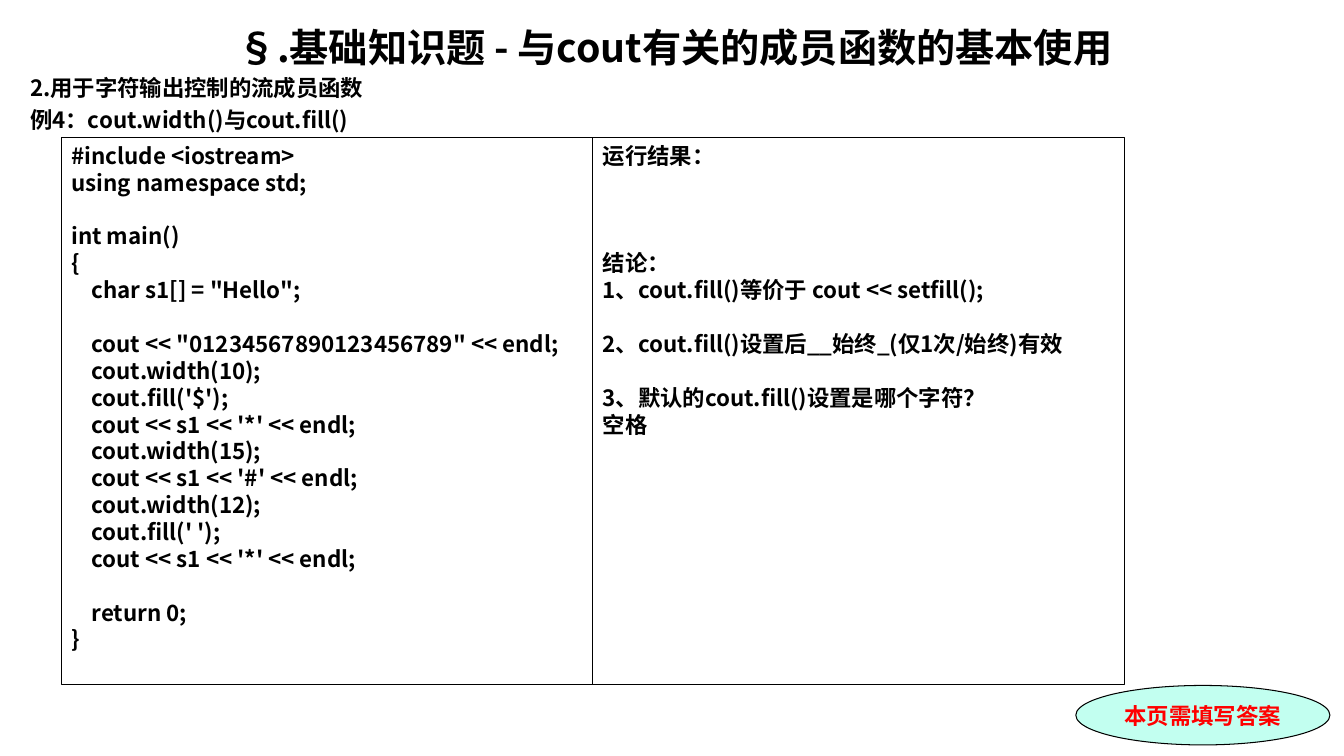
from pptx import Presentation
from pptx.dml.color import RGBColor
from pptx.enum.shapes import MSO_SHAPE
from pptx.enum.text import MSO_ANCHOR, MSO_AUTO_SIZE, PP_ALIGN
from pptx.oxml.ns import qn
from pptx.util import Inches, Pt

COLORS = {"ink": "000000", "answer": "FF0000", "badge": "C2FFF0"}
CJK_FONT = "Noto Sans CJK SC"
LINE_RATIO = 1.2
BODY_SIZE = 16

TITLE = "§.基础知识题 - 与cout有关的成员函数的基本使用"
HEADINGS = ["2.用于字符输出控制的流成员函数", "例4：cout.width()与cout.fill()"]
CODE = """#include <iostream>
using namespace std;

int main()
{
    char s1[] = "Hello";

    cout << "01234567890123456789" << endl;
    cout.width(10);
    cout.fill('$');
    cout << s1 << '*' << endl;
    cout.width(15);
    cout << s1 << '#' << endl;
    cout.width(12);
    cout.fill(' ');
    cout << s1 << '*' << endl;

    return 0;
}"""
FINDINGS = """运行结果：



结论：
1、cout.fill()等价于 cout << setfill();

2、cout.fill()设置后__始终_(仅1次/始终)有效

3、默认的cout.fill()设置是哪个字符？
空格"""


def rgb(name):
    return RGBColor.from_string(COLORS[name])


def write_lines(frame, lines, size=BODY_SIZE, color="ink", font=CJK_FONT,
                align=PP_ALIGN.LEFT, anchor=MSO_ANCHOR.TOP, gap=0):
    """Write one paragraph a line; an empty line becomes space before the next."""
    frame_format = {"word_wrap": True, "auto_size": MSO_AUTO_SIZE.NONE,
                    "vertical_anchor": anchor,
                    "margin_left": Inches(0.1), "margin_right": Inches(0.1),
                    "margin_top": Inches(0.05), "margin_bottom": Inches(0.05)}
    for key, value in frame_format.items():
        setattr(frame, key, value)
    pitch = size * LINE_RATIO
    before = 0
    paragraph = None
    for line in lines:
        if not line:
            before += pitch
            continue
        paragraph = frame.paragraphs[0] if paragraph is None else frame.add_paragraph()
        paragraph_format = {"alignment": align, "line_spacing": Pt(pitch),
                            "space_before": Pt(before), "space_after": Pt(0)}
        for key, value in paragraph_format.items():
            setattr(paragraph, key, value)
        before = gap
        run = paragraph.add_run()
        run.text = line
        for key, value in {"name": font, "size": Pt(size), "bold": True}.items():
            setattr(run.font, key, value)
        run.font.color.rgb = rgb(color)
        east_asian = run.font._element.makeelement(qn("a:ea"), {"typeface": CJK_FONT})
        run.font._element.find(qn("a:latin")).addnext(east_asian)


def add_outlined(slide, kind, box, fill=None):
    outlined = slide.shapes.add_shape(kind, *map(Inches, box))
    outlined.shadow.inherit = False
    if fill:
        outlined.fill.solid()
        outlined.fill.fore_color.rgb = rgb(fill)
    else:
        outlined.fill.background()
    outlined.line.color.rgb = rgb("ink")
    outlined.line.width = Pt(0.75)
    return outlined


def add_header(slide, left, top, width, title_height=0.57):
    title = slide.shapes.title
    place = {"left": left, "top": top, "width": width, "height": title_height}
    for key, value in place.items():
        setattr(title, key, Inches(value))
    write_lines(title.text_frame, [TITLE], size=28, align=PP_ALIGN.CENTER,
                anchor=MSO_ANCHOR.MIDDLE)
    headings = slide.shapes.add_textbox(Inches(left), Inches(top + 0.51),
                                        Inches(width), Inches(0.67))
    write_lines(headings.text_frame, HEADINGS, gap=BODY_SIZE * 0.2)


def add_panels(slide, left, top, width, height):
    """Place the code and the findings side by side in equal halves."""
    half = width / 2
    for column, content in enumerate((CODE, FINDINGS)):
        panel = add_outlined(slide, MSO_SHAPE.RECTANGLE,
                             (left + column * half, top, half, height))
        write_lines(panel.text_frame, content.split("\n"))


def add_answer_badge(slide, *box):
    badge = add_outlined(slide, MSO_SHAPE.OVAL, box, fill="badge")
    write_lines(badge.text_frame, ["本页需填写答案"], color="answer",
                font="Times New Roman", align=PP_ALIGN.CENTER,
                anchor=MSO_ANCHOR.MIDDLE)


def main():
    deck = Presentation()
    deck.slide_width, deck.slide_height = Inches(13.33), Inches(7.5)
    slide = deck.slides.add_slide(deck.slide_layouts.get_by_name("Title Only"))
    add_header(slide, 0.2, 0.18, 12.99)
    add_panels(slide, 0.61, 1.36, 10.54, 5.43)
    add_answer_badge(slide, 10.67, 6.8, 2.52, 0.59)
    deck.save("out.pptx")


if __name__ == "__main__":
    main()
